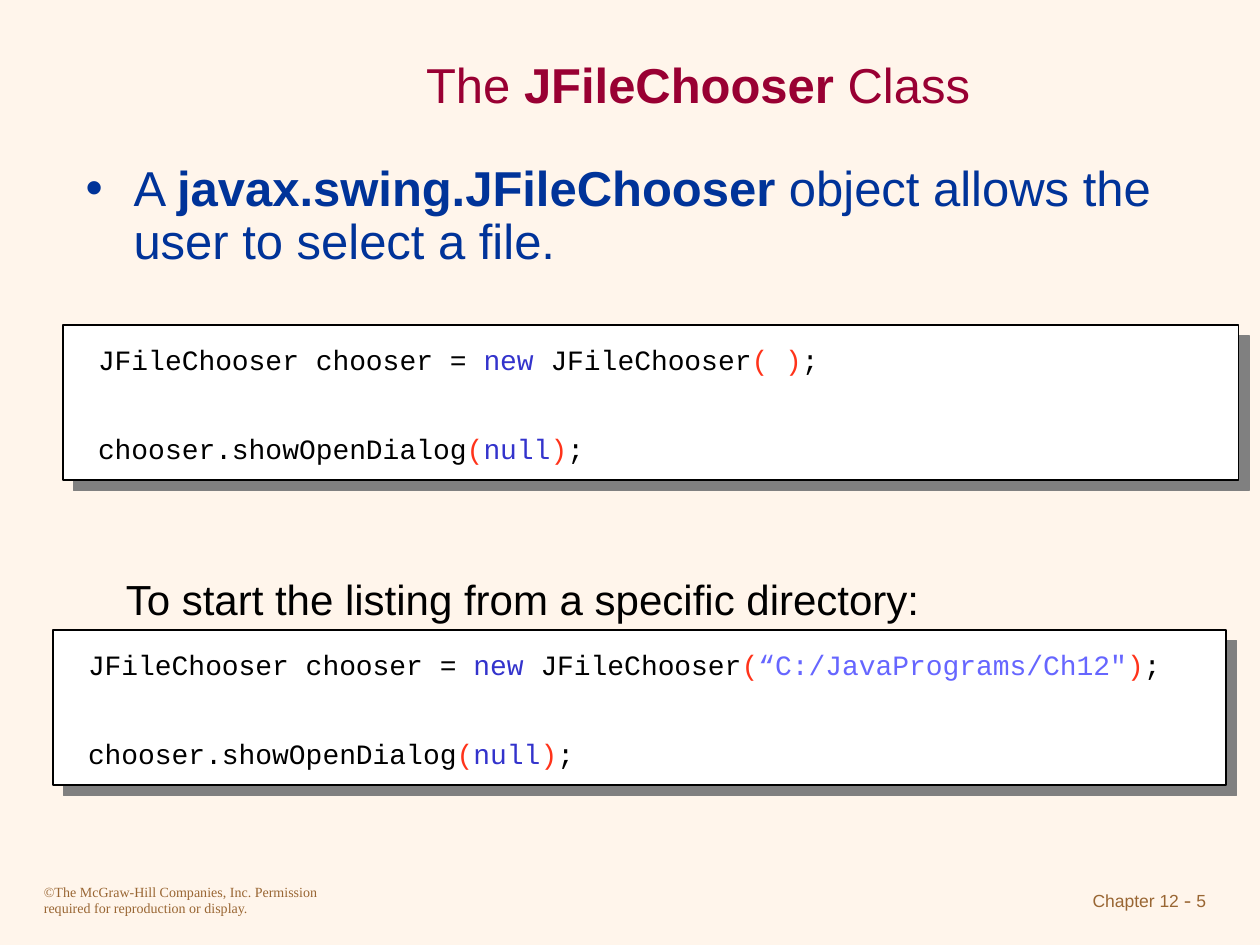
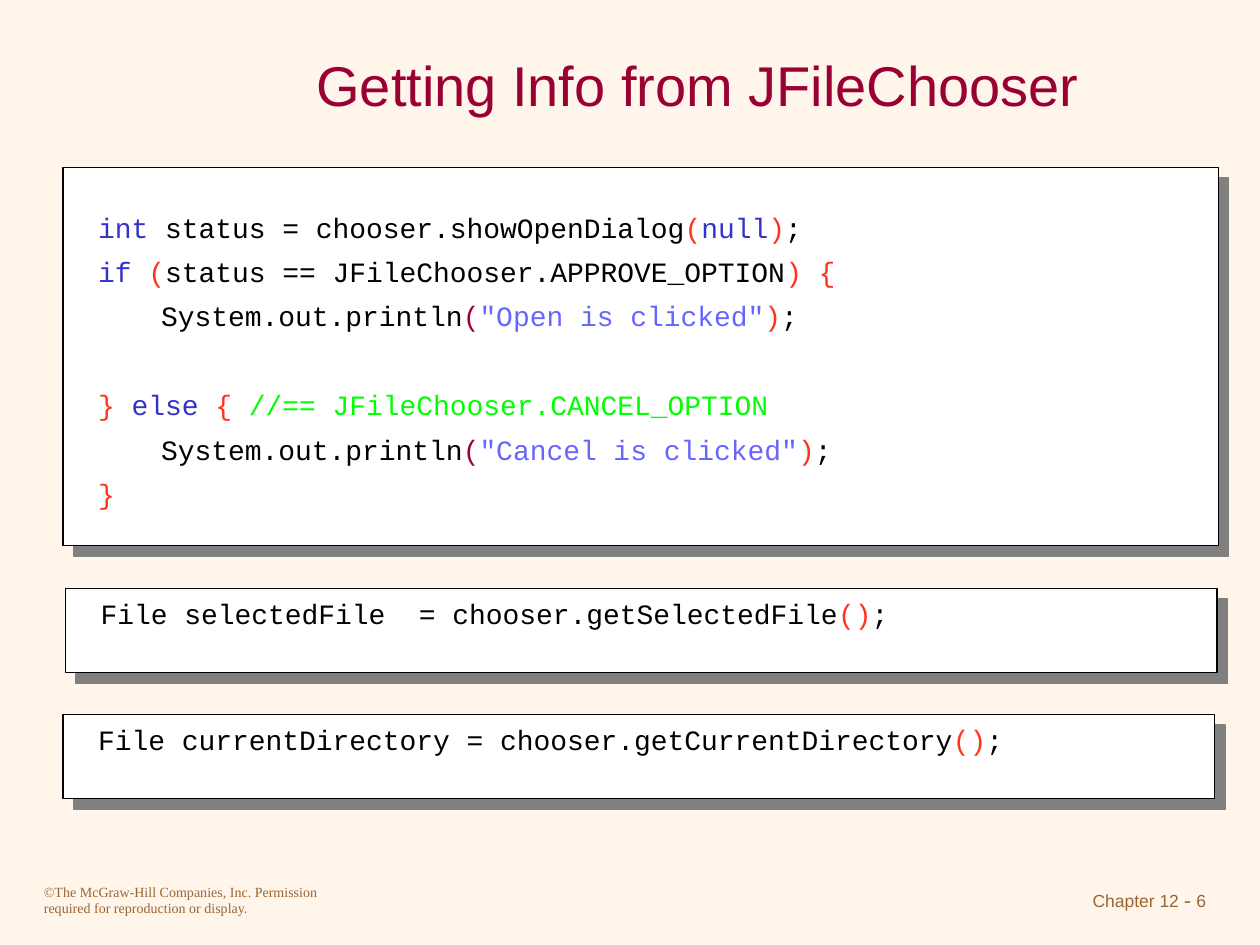
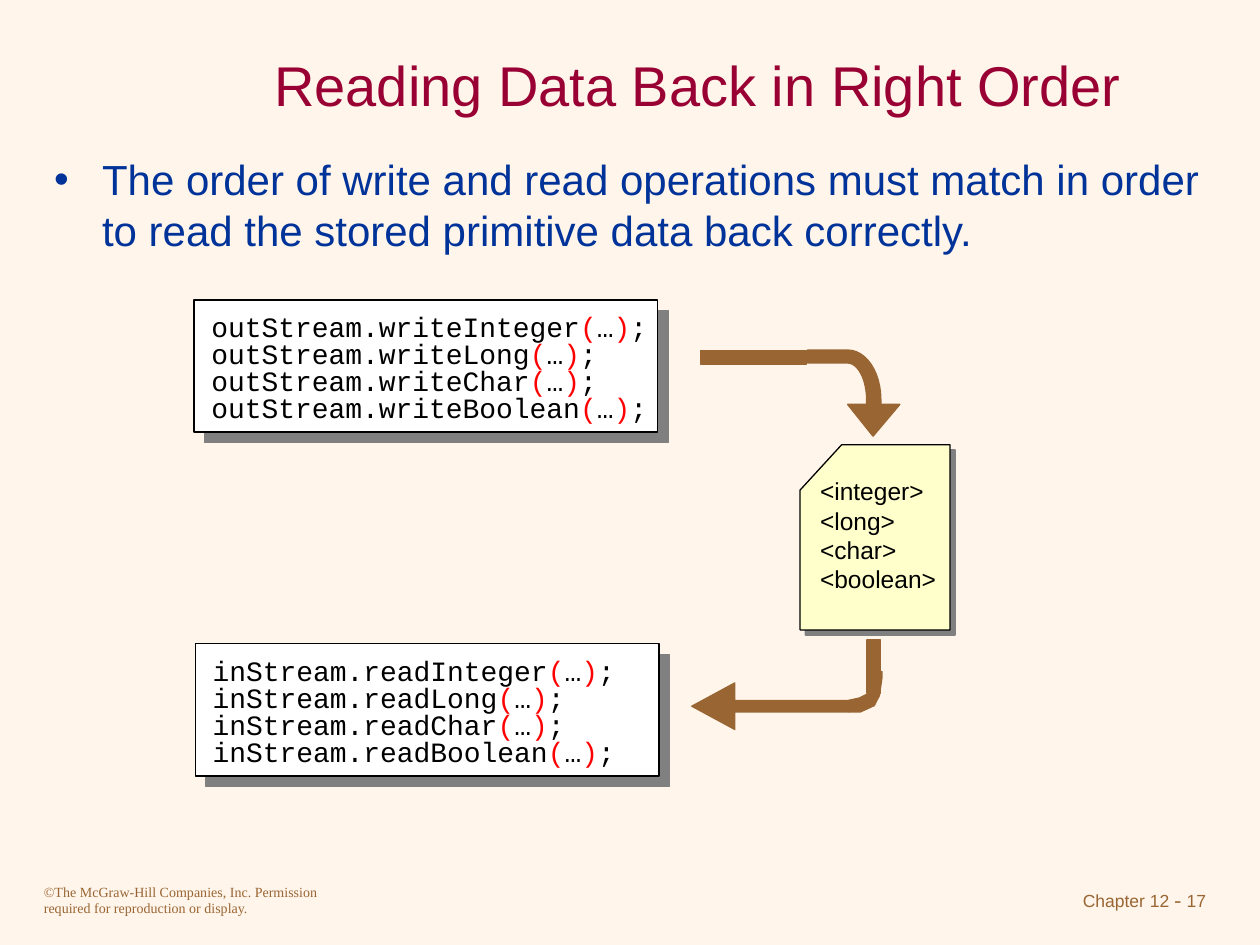
from dataclasses import dataclass

from lxml.etree import SubElement
from pptx import Presentation
from pptx.dml.color import RGBColor
from pptx.enum.shapes import MSO_SHAPE as SHAPE
from pptx.enum.text import MSO_ANCHOR as ANCHOR, MSO_AUTO_SIZE as AUTO_SIZE, PP_ALIGN as ALIGN
from pptx.oxml.ns import qn
from pptx.util import Inches, Pt

# Shared colours and fonts
CREAM, WHITE, BLACK, GREY = "FFF5EB", "FFFFFF", "000000", "808080"
MAROON, NAVY, BROWN, PAPER = "990033", "003399", "996633", "FFFFCC"
KEYWORD, BRACKET, STRING, COMMENT, RED = "3333CC", "FF331A", "6666FF", "00FF00", "FF0000"
SANS, SERIF, MONO = "Arial", "Times New Roman", "Courier New"

CODE_SIZE = 16
CODE_GAP = 10
BLANK_LINE = 25.5
TITLE_ONLY, TITLE_AND_BODY = 5, 1


@dataclass
class Box:
    left: float
    top: float
    width: float
    height: float

    def emu(self):
        return [Inches(v) for v in (self.left, self.top, self.width, self.height)]


def rgb(hex_code):
    return RGBColor.from_string(hex_code)


# Text helpers
def style_run(run, size, colour, font=SANS, bold=False):
    run.font.size = Pt(size)
    run.font.name = font
    run.font.bold = bold
    run.font.color.rgb = rgb(colour)


def add_run(paragraph, text, *style, **options):
    run = paragraph.add_run()
    run.text = text
    style_run(run, *style, **options)


def add_text_box(slide, box):
    frame = slide.shapes.add_textbox(*box.emu()).text_frame
    frame.word_wrap = True
    return frame


def add_label(slide, box, text, size, colour, font=SANS):
    frame = add_text_box(slide, box)
    frame.text = text
    for paragraph in frame.paragraphs:
        style_run(paragraph.runs[0], size, colour, font)


def place(placeholder, box):
    placeholder.left, placeholder.top, placeholder.width, placeholder.height = box.emu()
    placeholder.text_frame.auto_size = AUTO_SIZE.NONE
    return placeholder.text_frame


def fill_mixed(paragraph, parts, size, colour):
    """Every second part is bold."""
    for index, part in enumerate(parts):
        add_run(paragraph, part, size, colour, bold=index % 2 == 1)


# Shape helpers
def style_shape(shape, fill, line, line_width=0.75):
    shape.shadow.inherit = False
    shape.fill.solid()
    shape.fill.fore_color.rgb = rgb(fill)
    shape.line.color.rgb = rgb(line)
    shape.line.width = Pt(line_width)


def drop_shadow(shape, distance):
    effects = shape._element.spPr.find(qn("a:effectLst"))
    shadow = SubElement(effects, qn("a:outerShdw"), dist=str(Pt(distance)),
                        dir="2700000", algn="ctr", rotWithShape="0")
    SubElement(shadow, qn("a:srgbClr"), val=GREY)


def add_block(slide, box, fill, line, kind=SHAPE.RECTANGLE):
    shape = slide.shapes.add_shape(kind, *box.emu())
    style_shape(shape, fill, line)
    return shape


def add_outline(slide, box, points, fill, line, line_width=0.75):
    """Closed outline; points are relative to the box's top left corner."""
    corners = [(Inches(box.left + x), Inches(box.top + y)) for x, y in points]
    builder = slide.shapes.build_freeform(*corners[0])
    builder.add_line_segments(corners[1:], close=True)
    shape = builder.convert_to_shape()
    style_shape(shape, fill, line, line_width)
    return shape


def curve(start, control1, control2, end, steps=12):
    """Points along a cubic curve, both ends included."""
    points = []
    for step in range(steps + 1):
        t = step / steps
        weights = ((1 - t) ** 3, 3 * t * (1 - t) ** 2, 3 * t ** 2 * (1 - t), t ** 3)
        corners = (start, control1, control2, end)
        points.append(tuple(sum(w * c[axis] for w, c in zip(weights, corners))
                            for axis in (0, 1)))
    return points


# Slide frame: title, bullet and footers
def add_footers(slide, number):
    add_label(slide, Box(0.25, 6.96, 2.5, 0.37),
              "©The McGraw-Hill Companies, Inc. Permission required for reproduction or display.",
              8, BROWN, SERIF)
    chapter = add_text_box(slide, Box(7.5, 6.99, 2.17, 0.34)).paragraphs[0]
    chapter.alignment = ALIGN.RIGHT
    add_run(chapter, "Chapter 12", 10, BROWN)
    add_run(chapter, " - ", 12, BROWN, SERIF)
    add_run(chapter, str(number), 10, BROWN)


def start_slide(prs, layout, number, title_parts, title_size=32):
    slide = prs.slides.add_slide(prs.slide_layouts[layout])
    add_footers(slide, number)
    title = place(slide.shapes.title, Box(1.5, 0.25, 8.08, 0.83))
    title.vertical_anchor = ANCHOR.MIDDLE
    title.paragraphs[0].alignment = ALIGN.CENTER
    fill_mixed(title.paragraphs[0], title_parts, title_size, MAROON)
    return slide


def fill_bullet(slide, box, parts, size, line_spacing):
    bullet = place(slide.placeholders[1], box).paragraphs[0]
    bullet.line_spacing = line_spacing
    bullet.space_before = Pt(0)
    props = bullet._p.get_or_add_pPr()
    props.set("marL", str(Inches(0.38)))
    props.set("indent", str(Inches(-0.38)))
    SubElement(SubElement(props, qn("a:buClr")), qn("a:srgbClr"), val=NAVY)
    SubElement(props, qn("a:buFont"), typeface=SANS)
    SubElement(props, qn("a:buChar"), char="•")
    fill_mixed(bullet, parts, size, NAVY)


# Code panels
def call(name, argument="", bracket=BRACKET, opening=None):
    """Coloured parts of a method call statement."""
    return [name, ("(", opening or bracket), argument, (")", bracket), ";"]


def add_code_panel(slide, box, lines, inset, text_width=None, gap=CODE_GAP):
    """White panel with code; an empty line becomes extra space."""
    panel = add_block(slide, box, WHITE, BLACK)
    drop_shadow(panel, 8.5)
    dx, dy = inset
    frame = add_text_box(slide, Box(box.left + dx, box.top + dy,
                                    text_width or box.width - 2 * dx, box.height - dy))
    space = 0
    for index, line in enumerate(lines):
        if not line:
            space += BLANK_LINE
            continue
        paragraph = frame.add_paragraph() if index else frame.paragraphs[0]
        paragraph.line_spacing = 0.8
        paragraph.space_before = Pt(space)
        tabs = SubElement(paragraph._p.get_or_add_pPr(), qn("a:tabLst"))
        SubElement(tabs, qn("a:tab"), pos=str(Inches(0.5)), algn="l")
        for part in line:
            text, colour = (part, BLACK) if isinstance(part, str) else part
            if text:
                add_run(paragraph, text, CODE_SIZE, colour, MONO)
        space = gap


# Data file and the arrows around it
def add_data_file(slide, box):
    w, h = box.width, box.height
    page = add_outline(slide, box, [(0.33, 0), (w, 0), (w, h), (0, h), (0, 0.36)],
                       PAPER, BLACK)
    drop_shadow(page, 4.2)
    add_label(slide, Box(box.left + 0.06, box.top + 0.2, w, 1.04),
              "<integer>\n<long>\n<char>\n<boolean>", 14, BLACK)


def add_write_arrow(slide, box):
    bend = Box(box.left + 0.85, box.top, 0.73, 0.68)
    outer = curve((0.58, 0.39), (0.58, 0.17), (0.46, 0), (0.32, 0))
    inner = curve((0.32, 0.1), (0.4, 0.1), (0.47, 0.23), (0.47, 0.39))
    points = ([(0.52, 0.68), (0.73, 0.43), (0.58, 0.43)] + outer + [(0, 0), (0, 0.1)]
              + inner + [(0.47, 0.43), (0.32, 0.43)])
    add_outline(slide, bend, points, BROWN, BROWN, 1)
    add_block(slide, Box(box.left, box.top, 0.84, 0.11), BROWN, BROWN)


def add_read_arrow(slide, box):
    add_block(slide, Box(box.left + 1.39, box.top, 0.11, 0.42), BROWN, BROWN)
    head = add_block(slide, Box(box.left, box.top + 0.34, 1.25, 0.37), BROWN, BROWN,
                     SHAPE.LEFT_ARROW)
    head.adjustments[0] = 0.245
    head.adjustments[1] = 0.924
    bend = Box(box.left + 1.24, box.top + 0.25, 0.27, 0.32)
    add_outline(slide, bend,
                [(0.01, 0.32), (0.1, 0.32), (0.21, 0.27), (0.25, 0.19), (0.27, 0.05),
                 (0.27, 0), (0.17, 0), (0.18, 0.13), (0.15, 0.18), (0.09, 0.21), (0, 0.23)],
                BROWN, BROWN)


# Slides
def chooser_class_slide(prs):
    slide = start_slide(prs, TITLE_AND_BODY, 5, ["The ", "JFileChooser", " Class"], 28)
    fill_bullet(slide, Box(0.58, 1.25, 8.92, 1),
                ["A ", "javax.swing.JFileChooser ", "object allows the user to select a file."],
                28, 0.9)
    create = ["JFileChooser chooser = ", ("new ", KEYWORD), "JFileChooser"]
    show = call("chooser.showOpenDialog", ("null", KEYWORD))
    default_dir = create + [("( )", BRACKET), ";"]
    chosen_dir = create + call("", ("“C:/JavaPrograms/Ch12\"", STRING))
    for box, creation in ((Box(0.5, 2.58, 9.33, 1.23), default_dir),
                          (Box(0.42, 5, 9.31, 1.23), chosen_dir)):
        add_code_panel(slide, box, [creation, [], show], (0.18, 0.14))
    add_label(slide, Box(0.9, 4.5, 6.6, 0.5),
              "To start the listing from a specific directory:", 24, BLACK)


def chooser_info_slide(prs):
    slide = start_slide(prs, TITLE_ONLY, 6, ["Getting Info from JFileChooser"])

    def report(message):
        return call("\tSystem.out.println", (f'"{message}"', STRING), opening=MAROON)

    status_check = [
        [("int ", KEYWORD)] + call("status = chooser.showOpenDialog", ("null", KEYWORD)),
        [("if ", KEYWORD), ("(", BRACKET), "status == JFileChooser.APPROVE_OPTION",
         (") {", BRACKET)],
        report("Open is clicked"),
        [],
        [("} ", BRACKET), ("else ", KEYWORD), ("{ ", BRACKET),
         ("//== JFileChooser.CANCEL_OPTION", COMMENT)],
        report("Cancel is clicked"),
        [("}", BRACKET)],
    ]
    add_code_panel(slide, Box(0.5, 1.33, 9.17, 3), status_check, (0.18, 0.34))
    for box, getter in (
            (Box(0.52, 4.67, 9.14, 0.67), "File selectedFile  = chooser.getSelectedFile"),
            (Box(0.5, 5.67, 9.14, 0.67), "File currentDirectory = chooser.getCurrentDirectory")):
        add_code_panel(slide, box, [call(getter)], (0.18, 0.07))


def read_order_slide(prs):
    slide = start_slide(prs, TITLE_AND_BODY, 17, ["Reading Data Back in Right Order"])
    fill_bullet(slide, Box(0.33, 1.17, 9.33, 1.08),
                ["The order of write and read operations must match in order "
                 "to read the stored primitive data back correctly."], 24, 1.0)
    for box, method in ((Box(1.54, 2.38, 3.68, 1.05), "outStream.write"),
                        (Box(1.55, 5.11, 3.68, 1.05), "inStream.read")):
        calls = [call(method + kind, "…", RED)
                 for kind in ("Integer", "Long", "Char", "Boolean")]
        add_code_panel(slide, box, calls, (0.04, 0.08), text_width=3.73, gap=0)
    add_data_file(slide, Box(6.35, 3.53, 1.19, 1.47))
    add_write_arrow(slide, Box(5.56, 2.78, 1.58, 0.68))
    add_read_arrow(slide, Box(5.49, 5.08, 1.51, 0.71))


def main():
    prs = Presentation()
    prs.slide_width, prs.slide_height = Inches(10), Inches(7.5)
    background = prs.slide_master.background.fill
    background.solid()
    background.fore_color.rgb = rgb(CREAM)
    chooser_class_slide(prs)
    chooser_info_slide(prs)
    read_order_slide(prs)
    prs.save("out.pptx")


if __name__ == "__main__":
    main()
